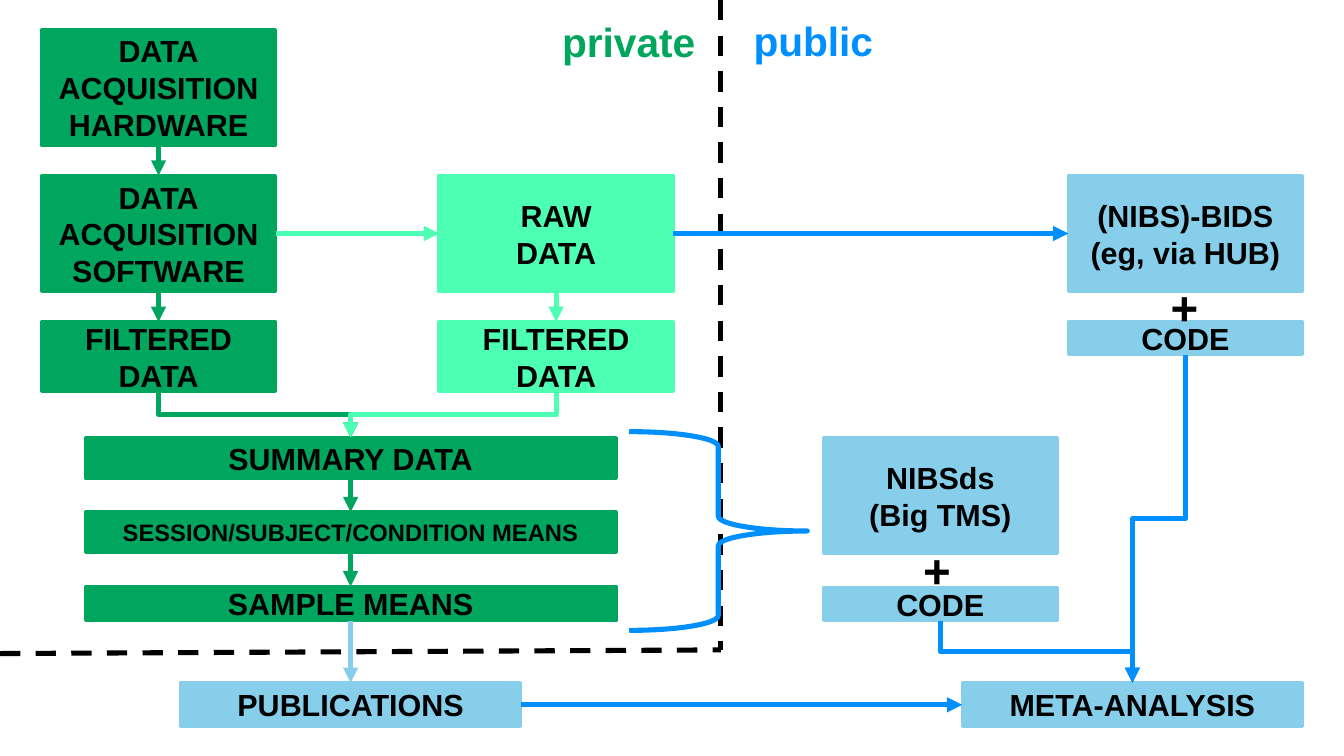
from dataclasses import dataclass

from lxml.etree import SubElement
from pptx import Presentation
from pptx.dml.color import RGBColor
from pptx.enum.dml import MSO_LINE
from pptx.enum.shapes import MSO_CONNECTOR, MSO_SHAPE
from pptx.enum.text import MSO_ANCHOR, PP_ALIGN
from pptx.oxml.ns import qn
from pptx.util import Inches, Pt

# The grid has square cells, ten to the inch.
CELL = Inches(0.1)
COLS, ROWS = 110.2, 62
GREEN, MINT, SKY, BLUE, BLACK = "00A65D", "4DFFB3", "87CEEB", "008FFF", "000000"
TOP, LEFT, BOTTOM, RIGHT = range(4)

# Left edges of the columns
OWN, RAW, SUM, NIBS, BIDS = 3.4, 36, 7, 67.5, 87.6
# Top edges of the rows
FIRST, SECOND, THIRD, LAST = 2.4, 14.4, 26.4, 56
# Widths and heights of the boxes
SLIM, MID, WIDE = 19.2, 27.9, 43.5
TALL, HALF, FLAT, BAR = 9.5, 5.7, 3.3, 2.7
WALL, FLOOR = 59.1, 53.3


@dataclass
class Box:
    name: str
    text: str
    col: float
    row: float
    wide: float
    high: float
    tone: str
    size: int = 18


@dataclass
class Arrow:
    start: str
    end: str
    tone: str
    sides: tuple[int, int] = (BOTTOM, TOP)
    bent: bool = False


@dataclass
class Label:
    text: str
    col: float
    row: float
    wide: float
    high: float
    size: int
    tone: str


BOXES = [
    Box("hard", "DATA\nACQUISITION\nHARDWARE", OWN, FIRST, SLIM, TALL, GREEN),
    Box("soft", "DATA\nACQUISITION\nSOFTWARE", OWN, SECOND, SLIM, TALL, GREEN),
    Box("clean", "FILTERED\nDATA", OWN, THIRD, SLIM, HALF, GREEN),
    Box("raw", "RAW\nDATA", RAW, SECOND, SLIM, TALL, MINT),
    Box("sift", "FILTERED\nDATA", RAW, THIRD, SLIM, HALF, MINT),
    Box("sum", "SUMMARY DATA", SUM, 35.9, WIDE, FLAT, GREEN),
    Box("means", "SESSION/SUBJECT/CONDITION MEANS", SUM, 42, WIDE, FLAT, GREEN, 14),
    Box("sample", "SAMPLE MEANS", SUM, 48.1, WIDE, 2.8, GREEN),
    Box("papers", "PUBLICATIONS", 14.8, LAST, MID, 3.6, SKY),
    Box("nibs", "NIBSds\n(Big TMS)", NIBS, 35.9, SLIM, TALL, SKY),
    Box("code", "CODE", NIBS, 48.2, SLIM, BAR, SKY),
    Box("bids", "(NIBS)-BIDS\n(eg, via HUB)", BIDS, SECOND, SLIM, TALL, SKY),
    Box("script", "CODE", BIDS, THIRD, SLIM, BAR, SKY),
    Box("meta", "META-ANALYSIS", 78.9, LAST, MID, 3.6, SKY),
]

ACROSS = (RIGHT, LEFT)
ARROWS = [
    Arrow("hard", "soft", GREEN),
    Arrow("soft", "clean", GREEN),
    Arrow("clean", "sum", GREEN, bent=True),
    Arrow("sum", "means", GREEN),
    Arrow("means", "sample", GREEN),
    Arrow("sample", "papers", SKY),
    Arrow("raw", "sift", MINT),
    Arrow("sift", "sum", MINT, bent=True),
    Arrow("soft", "raw", MINT, ACROSS),
    Arrow("raw", "bids", BLUE, ACROSS),
    Arrow("script", "meta", BLUE, bent=True),
    Arrow("code", "meta", BLUE, bent=True),
    Arrow("papers", "meta", BLUE, ACROSS),
]

LABELS = [
    Label("private", 45.1, 0.9, 13.1, 5, 24, GREEN),
    Label("public", 60.8, 0.8, 11.9, 5, 24, BLUE),
    Label("+", 74.7, 43.9, 4.3, 5.7, 28, BLACK),
    Label("+", 95, 22.3, 4.3, 5.7, 28, BLACK),
]


def grid(*cells: float) -> list[int]:
    return [round(n * CELL) for n in cells]


def paint(part, tone: str) -> None:
    """Give a shape, line or font one solid colour."""
    part.fill.solid()
    part.fill.fore_color.rgb = RGBColor.from_string(tone)


def write(shape, text: str, *, size: int, tone: str = BLACK,
          align=PP_ALIGN.CENTER, anchor=MSO_ANCHOR.MIDDLE, wrap: bool = True) -> None:
    frame = shape.text_frame
    frame.text = text
    frame.word_wrap = wrap
    frame.vertical_anchor = anchor
    for para in frame.paragraphs:
        para.alignment = align
        for run in para.runs:
            font = run.font
            font.name, font.size, font.bold = "Arial", Pt(size), True
            paint(font, tone)


def draw_box(shapes, box: Box):
    shape = shapes.add_shape(MSO_SHAPE.RECTANGLE,
                             *grid(box.col, box.row, box.wide, box.high))
    shape.shadow.inherit = False
    paint(shape, box.tone)
    paint(shape.line, box.tone)
    shape.line.width = Pt(2)
    write(shape, box.text, size=box.size)
    return shape


def draw_line(shapes, ends: list[int], tone: str, kind=MSO_CONNECTOR.STRAIGHT):
    line = shapes.add_connector(kind, *ends)
    paint(line.line, tone)
    line.line.width = Pt(3)
    SubElement(line.element.spPr, qn("a:effectLst"))
    return line


def turn(line) -> None:
    """Turn an elbow so that it leaves and arrives upright."""
    wide, high = line.width, line.height
    right = line.end_x > line.begin_x
    line.left += (wide - high) // 2
    line.top += (high - wide) // 2
    line.width, line.height = high, wide
    form = line.element.spPr.find(qn("a:xfrm"))
    form.set("rot", str((270 if right else 90) * 60000))
    form.set("flipH", "1" if right else "0")


def draw_arrow(shapes, arrow: Arrow, boxes: dict) -> None:
    kind = MSO_CONNECTOR.ELBOW if arrow.bent else MSO_CONNECTOR.STRAIGHT
    line = draw_line(shapes, [0] * 4, arrow.tone, kind)
    line.begin_connect(boxes[arrow.start], arrow.sides[0])
    line.end_connect(boxes[arrow.end], arrow.sides[1])
    if arrow.bent:
        turn(line)
    SubElement(line.element.spPr.find(qn("a:ln")), qn("a:tailEnd"), type="triangle")


def draw_label(shapes, label: Label) -> None:
    shape = shapes.add_textbox(*grid(label.col, label.row, label.wide, label.high))
    write(shape, label.text, size=label.size, tone=label.tone,
          align=PP_ALIGN.LEFT, anchor=MSO_ANCHOR.TOP, wrap=False)


def draw_brace(shapes) -> None:
    brace = shapes.add_shape(MSO_SHAPE.RIGHT_BRACE, *grid(51.6, 35.4, 14.6, 16.3))
    brace.shadow.inherit = False
    brace.fill.background()
    paint(brace.line, BLUE)
    brace.line.width = Pt(3)


def main() -> None:
    deck = Presentation()
    deck.slide_width, deck.slide_height = grid(COLS, ROWS)
    shapes = deck.slides.add_slide(deck.slide_layouts[6]).shapes
    for ends in ((WALL, 0, WALL, FLOOR), (0, 53.6, WALL, FLOOR)):
        draw_line(shapes, grid(*ends), BLACK).line.dash_style = MSO_LINE.DASH
    boxes = {box.name: draw_box(shapes, box) for box in BOXES}
    for arrow in ARROWS:
        draw_arrow(shapes, arrow, boxes)
    for label in LABELS:
        draw_label(shapes, label)
    draw_brace(shapes)
    deck.save("out.pptx")


if __name__ == "__main__":
    main()
